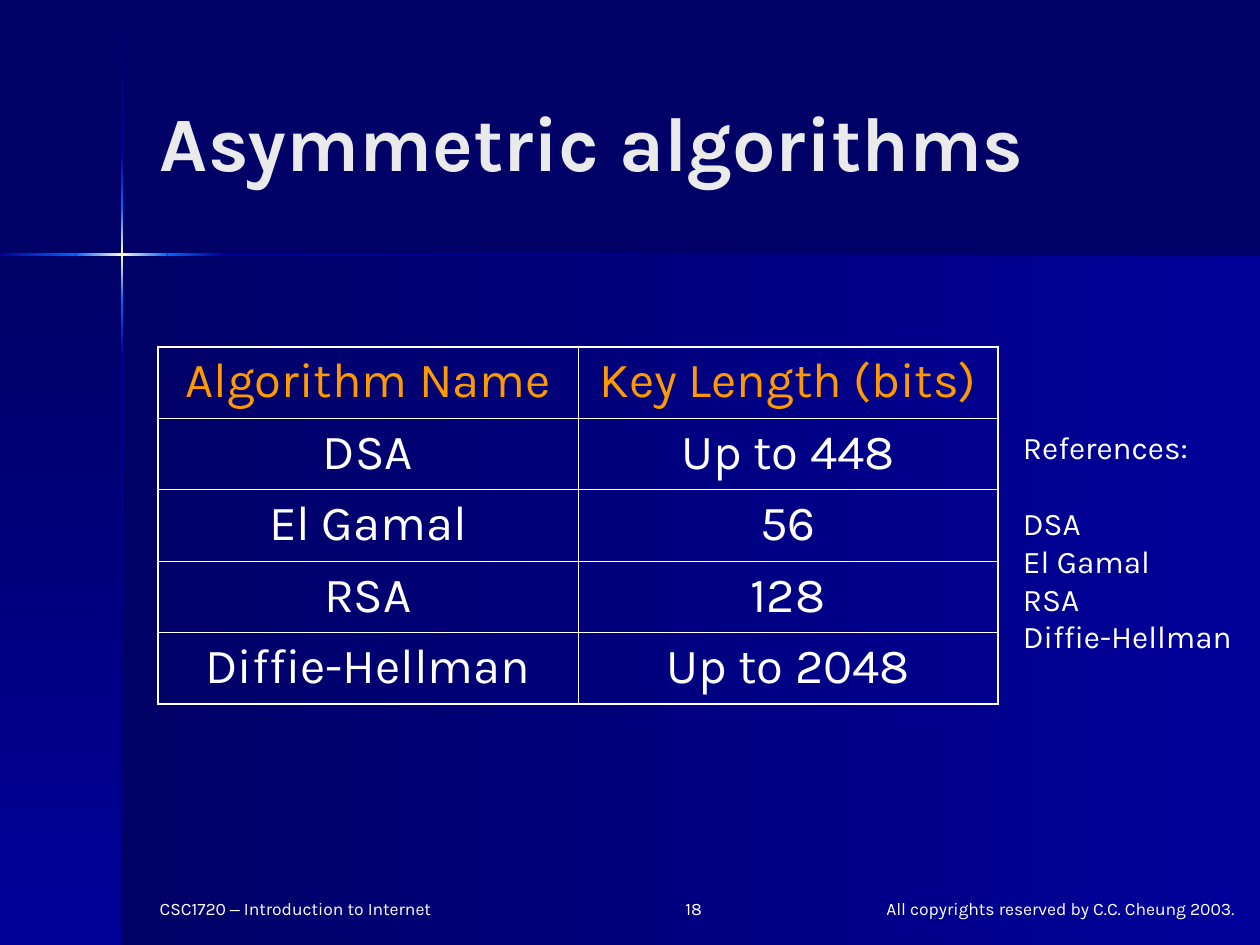
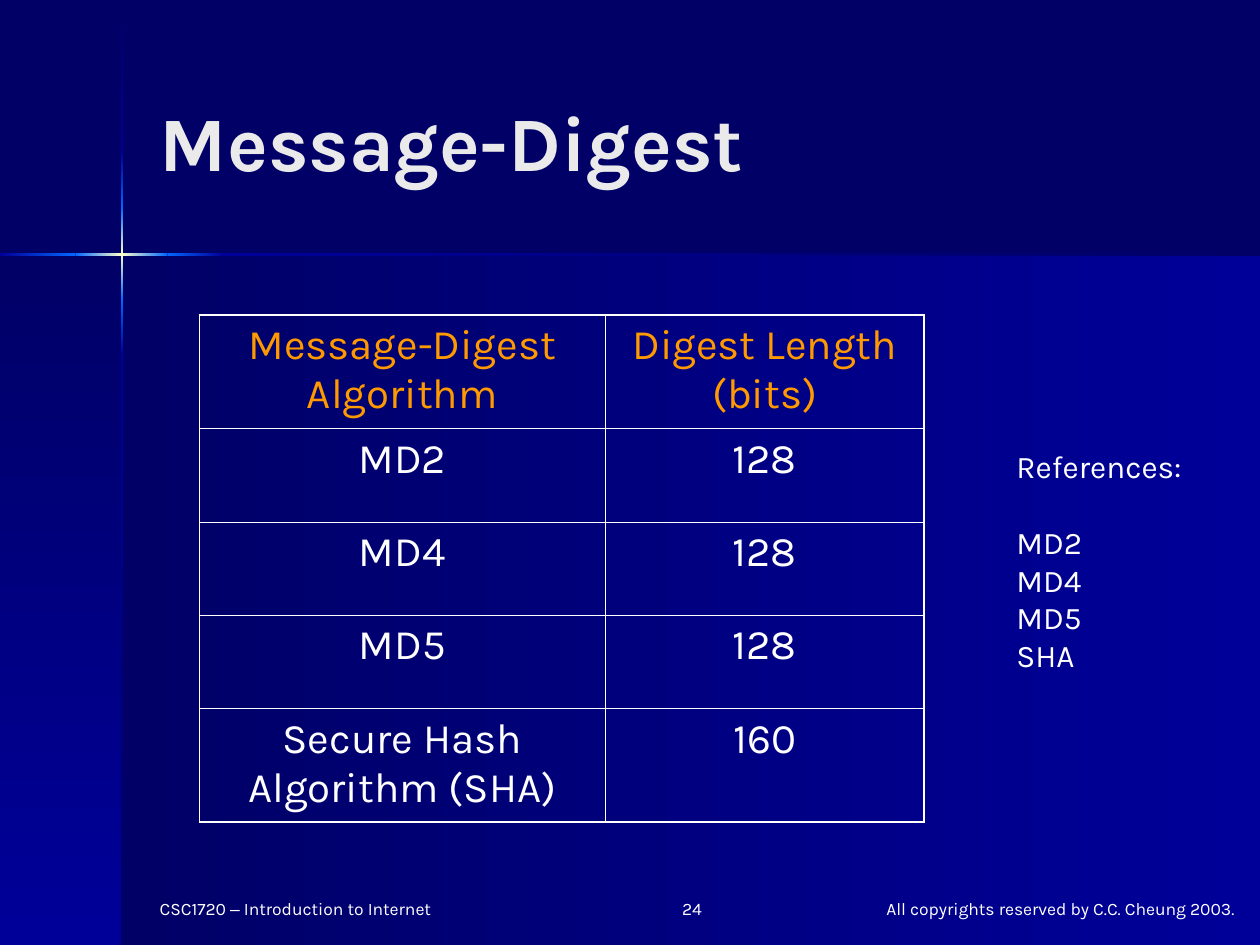
"""Build two slides on the key and digest lengths of cryptographic algorithms."""
from itertools import pairwise

from pptx import Presentation, oxml
from pptx.dml import color
from pptx.enum import shapes, text
from pptx.oxml import ns
from pptx.util import Cm, Pt

HUES = {"dark": "000066", "mid": "000099", "glow": "0066FF", "core": "FFFFCC",
        "title": "EAEAEA", "head": "FF9900", "text": "FFFFFF"}
FONT = "Karla"
LEFT, MID, RIGHT = text.PP_ALIGN.LEFT, text.PP_ALIGN.CENTER, text.PP_ALIGN.RIGHT

SLIDES = [
    {"title": "Asymmetric algorithms", "page": "18",
     "rows": [("Algorithm Name", "Key Length (bits)"),
              ("DSA", "Up to 448"),
              ("El Gamal", "56"),
              ("RSA", "128"),
              ("Diffie-Hellman", "Up to 2048")],
     "at": (3.18, 6.99), "cols": (8.47, 8.47), "tall": (1.44,) * 5, "size": 28,
     "refs": ["DSA", "El Gamal", "RSA", "Diffie-Hellman"],
     "side": (20.37, 8.51, 4.8, 4.83)},
    {"title": "Message-Digest", "page": "24",
     "rows": [("Message-Digest Algorithm", "Digest Length (bits)"),
              ("MD2", "128"),
              ("MD4", "128"),
              ("MD5", "128"),
              ("Secure Hash Algorithm (SHA)", "160")],
     "at": (4.02, 6.35), "cols": (8.18, 6.43), "tall": (2.29, 1.88, 1.88, 1.88, 2.29),
     "size": 24,
     "refs": ["MD2", "MD4", "MD5", "SHA"],
     "side": (20.24, 8.89, 3.99, 4.83)},
]
COURSE = [("CSC1720 ", FONT), ("–", "Arial"), (" Introduction to Internet", FONT)]
RIGHTS = [("All copyrights reserved by C.C. Cheung 2003.", FONT)]

WIDE, HIGH = 25.4, 19.05
TITLE = (2.97, 0.84, 20.96, 3.99)
PANELS = [(2.46, 5.13, 22.94, 13.92), (0, 5.13, 2.46, 13.92)]
BEAM = 0.05
CROSS = (2.44, 5.11)
DOWN = [(0.03, "dark"), (3.07, "mid"), (4.19, "glow"), (6.05, "glow"),
        (7.16, "mid"), (HIGH, "dark")]
OVER = [(0, "mid"), (1.52, "glow"), (3.38, "glow"), (4.5, "mid"), (WIDE, "dark")]


def rgb(hue):
    return color.RGBColor.from_string(HUES[hue])


def style(run, size, hue="text", **more):
    for key, val in {"name": FONT, "size": Pt(size), **more}.items():
        setattr(run.font, key, val)
    run.font.color.rgb = rgb(hue)


def band(slide, box, hues):
    """Add a rectangle that blends along its longer side."""
    part = slide.shapes.add_shape(shapes.MSO_SHAPE.RECTANGLE, *map(Cm, box))
    part.shadow.inherit = False
    part.line.fill.background()
    part.fill.background()
    stops = "".join(
        f'<a:gs pos="{100000 * i // (len(hues) - 1)}"><a:srgbClr val="{HUES[hue]}"/></a:gs>'
        for i, hue in enumerate(hues))
    turn = 5400000 if box[3] > box[2] else 0
    blend = oxml.parse_xml(f'<a:gradFill {ns.nsdecls("a")}><a:gsLst>{stops}</a:gsLst>'
                           f'<a:lin ang="{turn}" scaled="0"/></a:gradFill>')
    props = part._element.spPr
    props.replace(props.find(ns.qn("a:noFill")), blend)


def backdrop(slide):
    for box in PANELS:
        band(slide, box, ("dark", "mid"))
    x, y = CROSS
    for marks, down in ((DOWN, True), (OVER, False)):
        for (start, one), (end, two) in pairwise(marks):
            span = end - start
            box = (x, start, BEAM, span) if down else (start, y, span, BEAM)
            band(slide, box, (one, "core", two) if one == two else (one, two))


def label(slide, box, runs, align):
    frame = slide.shapes.add_textbox(*map(Cm, box)).text_frame
    frame.word_wrap = True
    para = frame.paragraphs[0]
    para.alignment = align
    for words, font in runs:
        run = para.add_run()
        run.text = words
        style(run, 10, name=font)


def heading(slide, words):
    shape = slide.shapes.title
    for key, val in zip(("left", "top", "width", "height"), TITLE):
        setattr(shape, key, Cm(val))
    frame = shape.text_frame
    frame.text = words
    frame.vertical_anchor = text.MSO_ANCHOR.MIDDLE
    frame.auto_size = text.MSO_AUTO_SIZE.NONE
    para = frame.paragraphs[0]
    para.alignment = LEFT
    style(para.runs[0], 44, "title", bold=True)


def border(cell, outer):
    """Draw the four sides of a cell, with heavier lines on the outside."""
    props = cell._tc.get_or_add_tcPr()
    for i, side in enumerate("LRTB"):
        width = Pt(1.08 if side in outer else 0.45)
        props.insert(i, oxml.parse_xml(
            f'<a:ln{side} {ns.nsdecls("a")} w="{width}"><a:solidFill>'
            f'<a:srgbClr val="{HUES["text"]}"/></a:solidFill></a:ln{side}>'))


def grid(slide, page):
    rows, cols, tall = page["rows"], page["cols"], page["tall"]
    box = (*page["at"], sum(cols), sum(tall))
    table = slide.shapes.add_table(len(rows), len(cols), *map(Cm, box)).table
    table.first_row = table.horz_banding = False
    for col, width in zip(table.columns, cols):
        col.width = Cm(width)
    for r, row in enumerate(rows):
        table.rows[r].height = Cm(tall[r])
        for c, words in enumerate(row):
            cell = table.cell(r, c)
            cell.text = words
            cell.fill.background()
            edges = {"L": c == 0, "R": c == len(cols) - 1,
                     "T": r == 0, "B": r == len(rows) - 1}
            border(cell, [side for side, edge in edges.items() if edge])
            para = cell.text_frame.paragraphs[0]
            para.alignment = MID
            style(para.runs[0], page["size"], "text" if r else "head")


def sources(slide, page):
    frame = slide.shapes.add_textbox(*map(Cm, page["side"])).text_frame
    frame.word_wrap = False
    frame.auto_size = text.MSO_AUTO_SIZE.SHAPE_TO_FIT_TEXT
    frame.text = "\n".join(["References:", *page["refs"]])
    for para in frame.paragraphs:
        style(para.runs[0], 18)
    frame.paragraphs[1].space_before = Pt(21.6)


def main():
    deck = Presentation()
    deck.slide_width, deck.slide_height = Cm(WIDE), Cm(HIGH)
    fill = deck.slide_master.background.fill
    fill.solid()
    fill.fore_color.rgb = rgb("dark")
    for page in SLIDES:
        slide = deck.slides.add_slide(deck.slide_layouts[5])
        backdrop(slide)
        label(slide, (2.97, 17.98, 6.15, 0.62), COURSE, LEFT)
        label(slide, (17.35, 17.98, 8.05, 0.62), RIGHTS, MID)
        label(slide, (12.7, 17.98, 1.7, 0.62), [(page["page"], FONT)], RIGHT)
        heading(slide, page["title"])
        grid(slide, page)
        sources(slide, page)
        tree = slide.shapes._spTree
        tree.remove(top := slide.shapes.title._element)
        tree.append(top)
    deck.save("out.pptx")


if __name__ == "__main__":
    main()
